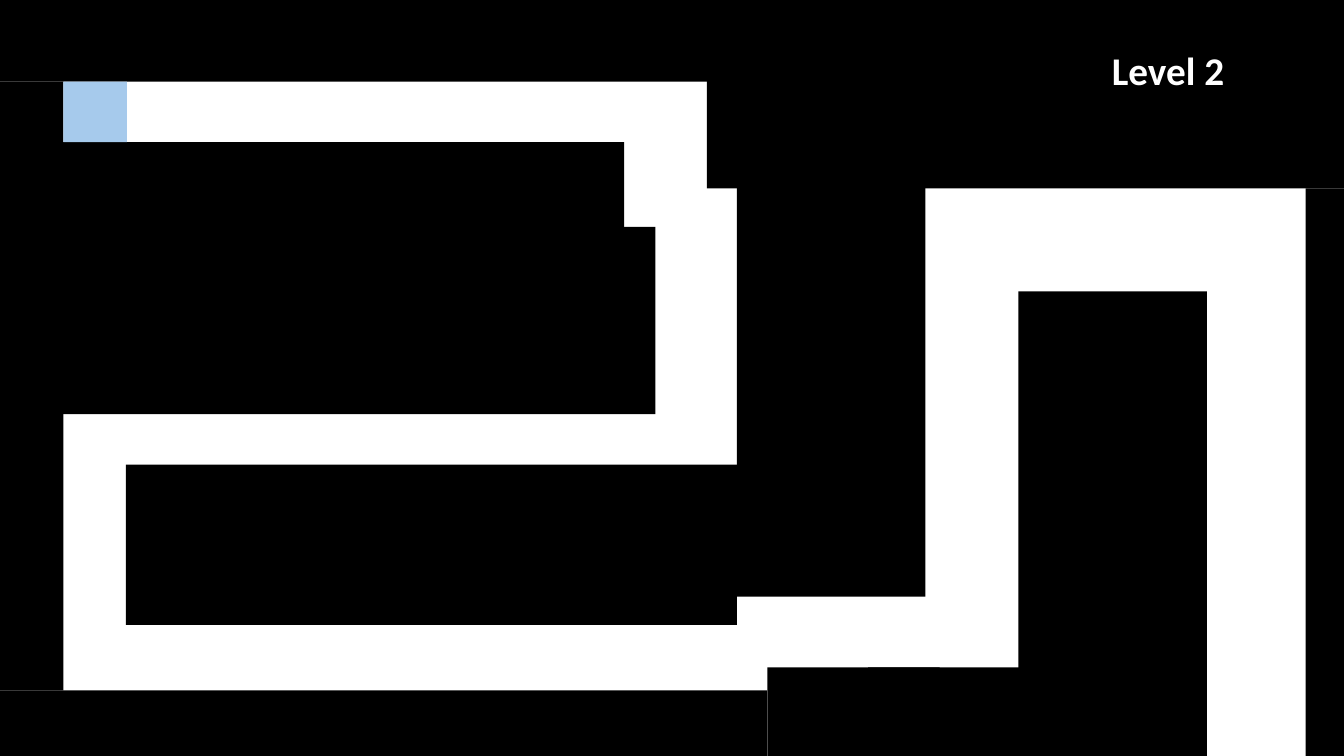
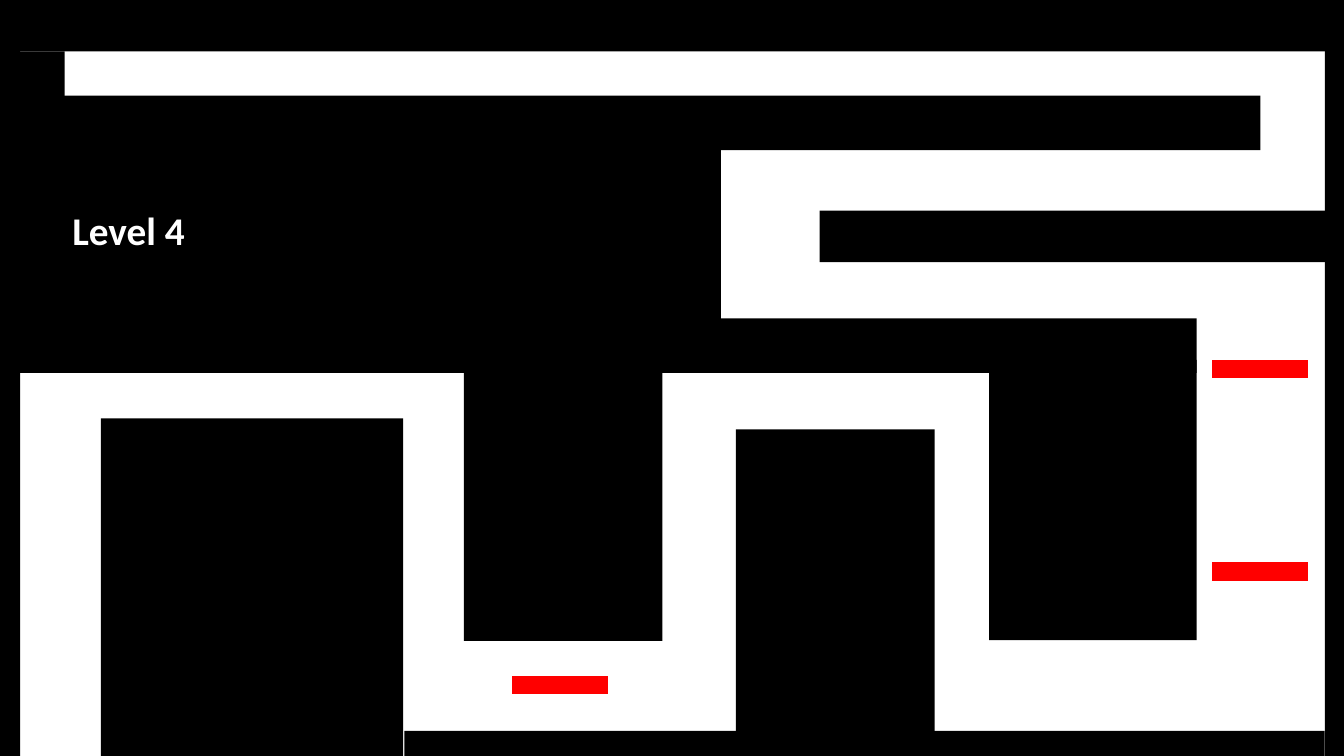
from pptx import Presentation
from pptx.dml.color import RGBColor
from pptx.enum.shapes import MSO_SHAPE as Shape
from pptx.enum.text import MSO_AUTO_SIZE as AutoSize
from pptx.util import Inches, Pt

# Shared look
SLIDE_WIDTH, SLIDE_HEIGHT = 13.33, 7.5
FONT = "Calibri"
PATH_COLOR = "FFFFFF"
WALL_COLOR = "000000"
START_COLOR = "A6CAEC"
HAZARD_COLOR = "FF0000"
HAZARD_SIZE = (0.95, 0.18)

# Walls as left, top, width, height; the path is what they leave open
LEVEL_2_WALLS = [
    (7.01, 0, 6.32, 1.87),
    (0, 2.25, 6.5, 1.86),
    (7.31, 1.3, 1.87, 4.62),
    (1.25, 4.61, 6.06, 1.59),
    (0, 6.85, 7.61, 0.65),
    (7.61, 6.62, 1.71, 0.88),
    (0, 0.81, 0.63, 1.87),
    (10.1, 2.89, 1.87, 4.61),
    (8.61, 6.62, 1.71, 0.88),
    (12.95, 1.87, 0.38, 5.63),
    (0, 4, 0.63, 2.85),
    (0, 0, SLIDE_WIDTH, 0.81),
    (0.55, 1.41, 5.64, 1.59),
]
LEVEL_4_WALLS = [
    (0, 0, 0.2, SLIDE_HEIGHT),
    (13.14, 0, 0.19, SLIDE_HEIGHT),
    (1, 4.15, 3, 3.35),
    (4.6, 3.6, 1.97, 2.76),
    (4.01, 7.25, 9.13, 0.25),
    (7.3, 4.26, 1.97, 3.1),
    (9.81, 3.57, 2.06, 2.78),
    (0.2, 0, 12.94, 0.51),
    (0.2, 3.16, 11.67, 0.54),
    (0.19, 0.95, 12.31, 0.54),
    (0.19, 0.51, 0.45, 0.51),
    (8.13, 2.09, 5.01, 0.51),
    (0.1, 1, 7.05, 2.49),
]
LEVEL_4_HAZARDS = [(5.08, 6.71), (12.02, 5.58), (12.02, 3.57)]


def color(hex_code):
    return RGBColor.from_string(hex_code)


def add_block(slide, box, fill, kind=Shape.RECTANGLE):
    shape = slide.shapes.add_shape(kind, *map(Inches, box))
    shape.shadow.inherit = False
    shape.fill.solid()
    shape.fill.fore_color.rgb = color(fill)
    shape.line.fill.background()


def add_level_label(slide, text, box):
    text_frame = slide.shapes.add_textbox(*map(Inches, box)).text_frame
    text_frame.word_wrap = True
    text_frame.auto_size = AutoSize.SHAPE_TO_FIT_TEXT
    text_frame.text = text
    font = text_frame.paragraphs[0].runs[0].font
    font.name, font.size, font.bold = FONT, Pt(28), True
    font.color.rgb = color(PATH_COLOR)


def add_maze(presentation, walls):
    slide = presentation.slides.add_slide(presentation.slide_layouts[6])
    slide.background.fill.solid()
    slide.background.fill.fore_color.rgb = color(PATH_COLOR)
    for wall in walls:
        add_block(slide, wall, WALL_COLOR)
    return slide


def main():
    presentation = Presentation()
    presentation.slide_width = Inches(SLIDE_WIDTH)
    presentation.slide_height = Inches(SLIDE_HEIGHT)

    # Level 2: maze with a start square
    slide = add_maze(presentation, LEVEL_2_WALLS)
    add_block(slide, (0.63, 0.81, 0.63, 0.6), START_COLOR)
    add_level_label(slide, "Level 2", (10.93, 0.41, 2.08, 0.57))

    # Level 4: maze with hazards on the path
    slide = add_maze(presentation, LEVEL_4_WALLS)
    for position in LEVEL_4_HAZARDS:
        add_block(slide, position + HAZARD_SIZE, HAZARD_COLOR,
                  Shape.FLOWCHART_PROCESS)
    add_level_label(slide, "Level 4", (0.62, 2, 2.03, 0.57))

    presentation.save("out.pptx")


if __name__ == "__main__":
    main()
